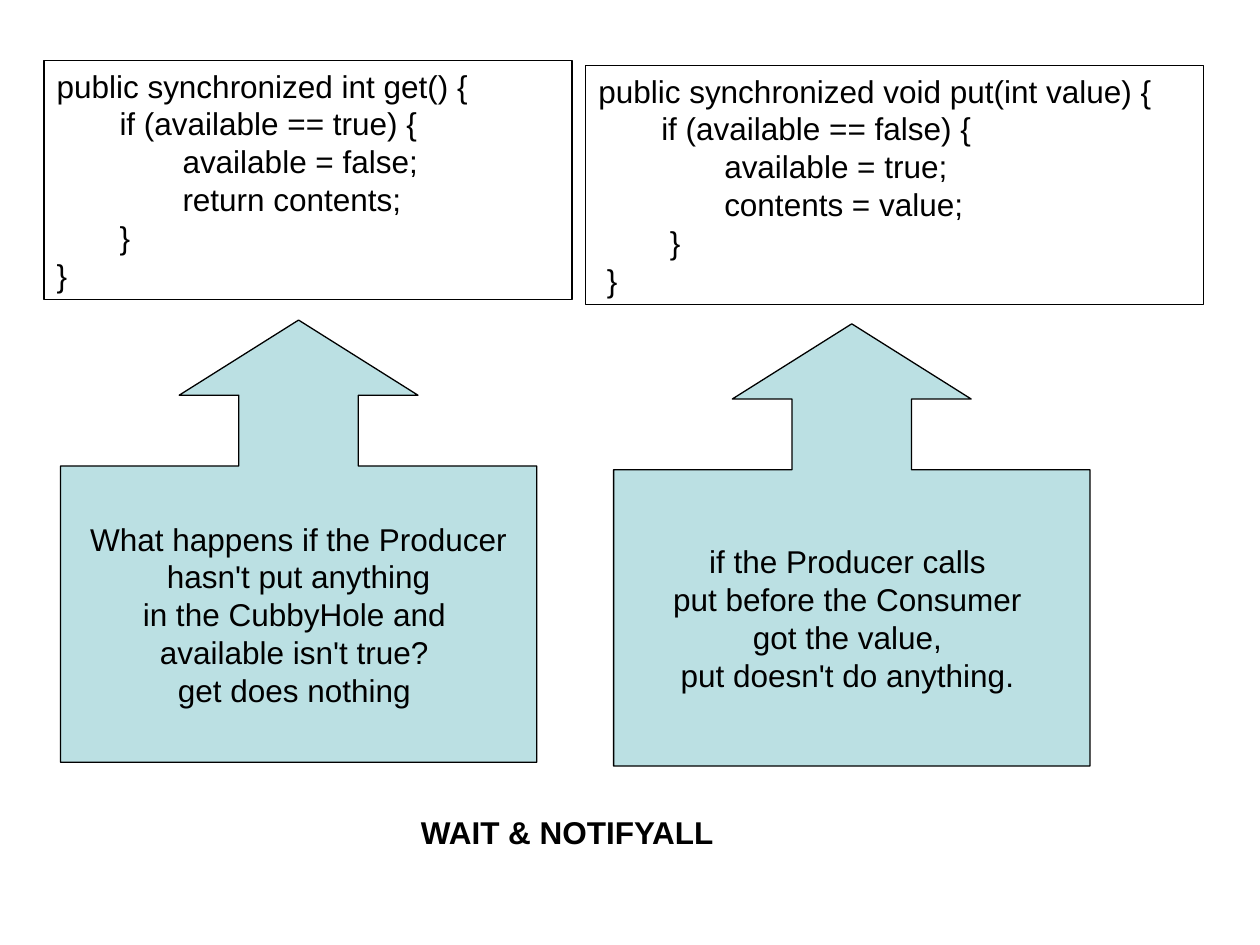
from dataclasses import dataclass

from pptx import Presentation
from pptx.dml.color import RGBColor
from pptx.enum.shapes import MSO_SHAPE
from pptx.enum.text import MSO_ANCHOR, MSO_AUTO_SIZE, PP_ALIGN
from pptx.shapes.autoshape import Shape
from pptx.slide import Slide
from pptx.util import Inches, Pt

RECT = MSO_SHAPE.RECTANGLE
CALL = MSO_SHAPE.UP_ARROW_CALLOUT
TOP, MID = MSO_ANCHOR.TOP, MSO_ANCHOR.MIDDLE
LEFT, CENTER = PP_ALIGN.LEFT, PP_ALIGN.CENTER
FIXED = MSO_AUTO_SIZE.NONE

HUES = {"ink": "000000", "pale": "BBE0E3"}
FONT = {"name": "Arial", "size": Pt(18)}
FRAME = {
    "margin_left": Inches(0.1),
    "margin_right": Inches(0.1),
    "margin_top": Inches(0.05),
    "margin_bottom": Inches(0.05),
    "auto_size": FIXED,
}
CODE = {"vertical_anchor": TOP, "word_wrap": True}
NOTE = {"vertical_anchor": MID, "word_wrap": False}
BENDS = (0.27, 0.27, 0.17, 0.67)


@dataclass
class Box:
    left: float
    top: float
    width: float
    height: float
    lines: tuple[str, ...]


CODES = (
    Box(0.35, 0.48, 4.19, 1.9, (
        "public synchronized int get() {",
        "\tif (available == true) {",
        "\t\tavailable = false;",
        "\t\treturn contents;",
        "\t}",
        "}",
    )),
    Box(4.65, 0.52, 4.9, 1.9, (
        "public synchronized void put(int value) {",
        "\tif (available == false) {",
        "\t\tavailable = true;",
        "\t\tcontents = value;",
        "\t }",
        " }",
    )),
)
NOTES = (
    Box(0.48, 2.54, 3.78, 3.51, (
        "What happens if the Producer",
        " hasn't put anything ",
        "in the CubbyHole and ",
        "available isn't true? ",
        "get does nothing ",
    )),
    Box(4.87, 2.57, 3.78, 3.51, (
        "if the Producer calls ",
        "put before the Consumer ",
        "got the value, ",
        "put doesn't do anything. ",
    )),
)
TITLE = Box(3.24, 6.4, 2.6, 0.4, ("WAIT & NOTIFYALL",))


def apply(part: object, form: dict) -> None:
    for key, value in form.items():
        setattr(part, key, value)


def hue(name: str) -> RGBColor:
    return RGBColor.from_string(HUES[name])


def area(box: Box) -> tuple[int, ...]:
    return tuple(Inches(n) for n in (box.left, box.top, box.width, box.height))


def write(shape: Shape, box: Box, form: dict, align: PP_ALIGN, bold: bool = False) -> None:
    frame = shape.text_frame
    frame.text = "\n".join(box.lines)
    apply(frame, FRAME | form)
    for line in frame.paragraphs:
        line.alignment = align
        for run in line.runs:
            apply(run.font, FONT | {"bold": bold})
            run.font.color.rgb = hue("ink")


def draw(slide: Slide, box: Box, kind: MSO_SHAPE) -> Shape:
    shape = slide.shapes.add_shape(kind, *area(box))
    shape.shadow.inherit = False
    shape.line.color.rgb = hue("ink")
    shape.line.width = Pt(0.75)
    return shape


def add_code(slide: Slide, box: Box) -> None:
    shape = draw(slide, box, RECT)
    shape.fill.background()
    write(shape, box, CODE, LEFT)


def add_note(slide: Slide, box: Box) -> None:
    shape = draw(slide, box, CALL)
    shape.fill.solid()
    shape.fill.fore_color.rgb = hue("pale")
    for i, bend in enumerate(BENDS):
        shape.adjustments[i] = bend
    write(shape, box, NOTE, CENTER)


def add_title(slide: Slide, box: Box) -> None:
    shape = slide.shapes.title
    apply(shape, dict(zip(("left", "top", "width", "height"), area(box))))
    write(shape, box, CODE, LEFT, True)


def main() -> None:
    deck = Presentation()
    apply(deck, {"slide_width": Inches(10), "slide_height": Inches(7.5)})
    slide = deck.slides.add_slide(deck.slide_layouts.get_by_name("Title Only"))
    for box in CODES:
        add_code(slide, box)
    for box in NOTES:
        add_note(slide, box)
    add_title(slide, TITLE)
    deck.save("out.pptx")


if __name__ == "__main__":
    main()
